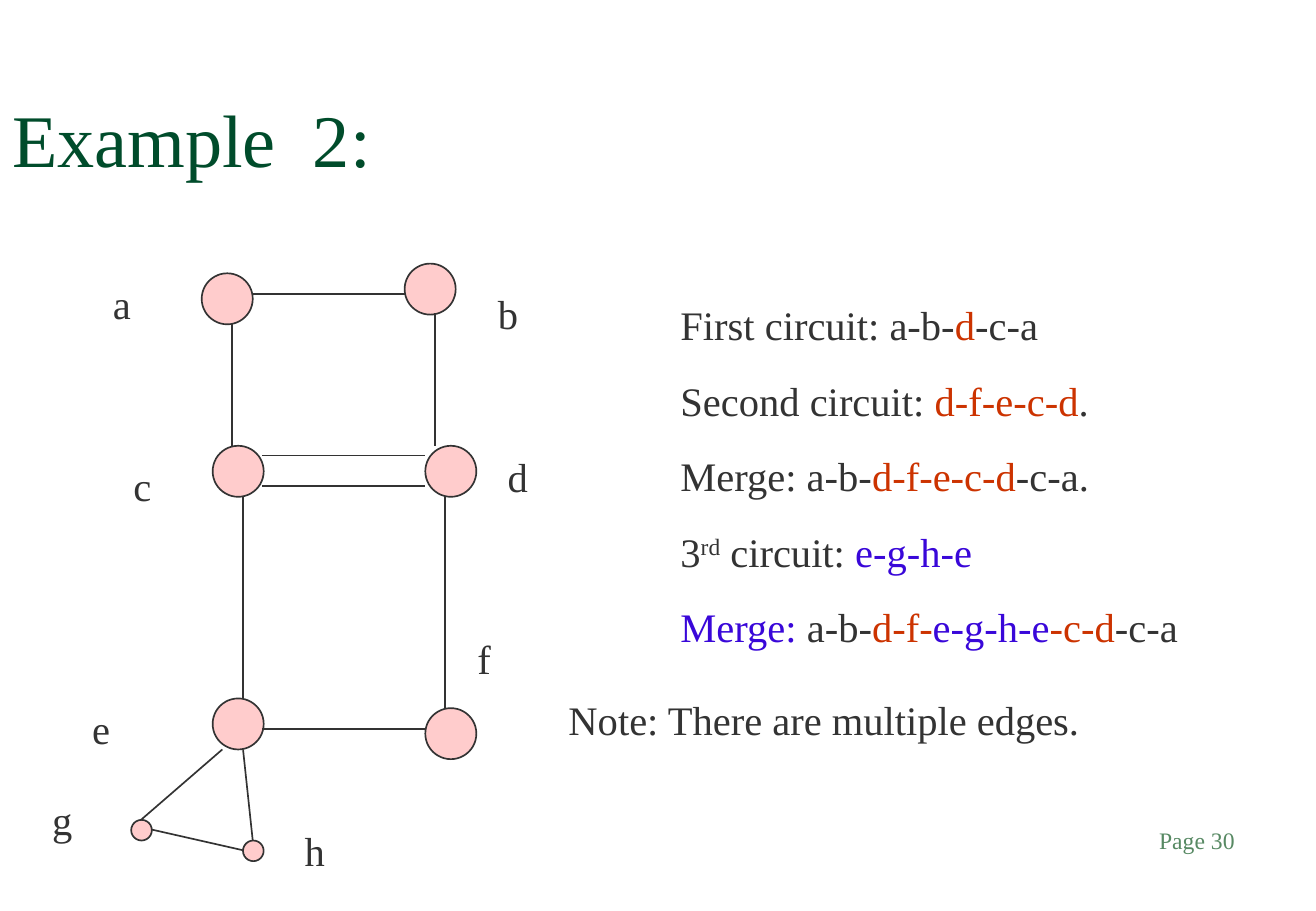
"""Build a slide that merges the circuits of a graph into one Euler circuit."""
import dataclasses

import lxml.etree
import pptx
import pptx.dml.color
import pptx.enum.shapes
import pptx.enum.text
import pptx.oxml.ns
import pptx.util

Inches = pptx.util.Inches
Pt = pptx.util.Pt
Align = pptx.enum.text.PP_ALIGN
Anchor = pptx.enum.text.MSO_ANCHOR


@dataclasses.dataclass(frozen=True)
class Theme:
    """Hold the colours, font and type sizes."""
    font: str = "Times New Roman"
    ink: str = "333333"
    head: str = "004C2B"
    page: str = "578963"
    node: str = "FFCCCC"
    red: str = "CC3300"
    blue: str = "3907D9"
    big: int = 44
    text: int = 24
    small: int = 14
    gap: int = 16
    line: int = 1


class Painter:
    """Draw styled elements on the current slide."""

    def __init__(self, theme, slide):
        """Keep the theme and the slide."""
        self.theme = theme
        self.slide = slide

    def color(self, code):
        """Turn a hex code into a colour."""
        return pptx.dml.color.RGBColor.from_string(code)

    def format(self, run, size, code):
        """Set the font of a run."""
        run.font.name = self.theme.font
        run.font.size = Pt(size)
        run.font.color.rgb = self.color(code)

    def place(self, shape, left, top, width, height):
        """Move and size a placeholder."""
        shape.left, shape.top = Inches(left), Inches(top)
        shape.width, shape.height = Inches(width), Inches(height)
        shape.text_frame.word_wrap = True
        shape.text_frame.auto_size = pptx.enum.text.MSO_AUTO_SIZE.NONE

    def title(self, text, *box):
        """Fill the title placeholder."""
        shape = self.slide.shapes.title
        self.place(shape, *box)
        frame = shape.text_frame
        frame.vertical_anchor = Anchor.BOTTOM
        frame.text = text
        para = frame.paragraphs[0]
        para.alignment = Align.LEFT
        self.format(para.runs[0], self.theme.big, self.theme.head)

    def list(self, rows, *box):
        """Fill the body placeholder with rows of coloured parts."""
        shape = self.slide.placeholders[1]
        self.place(shape, *box)
        frame = shape.text_frame
        frame.vertical_anchor = Anchor.TOP
        frame.text = "\n".join("" for _ in rows)
        for index, (para, row) in enumerate(zip(frame.paragraphs, rows)):
            para.space_before = Pt(self.theme.gap if index else 0)
            props = para._p.get_or_add_pPr()
            props.set("marL", "0")
            props.set("indent", "0")
            lxml.etree.SubElement(props, pptx.oxml.ns.qn("a:buNone"))
            for text, code, *lift in row:
                run = para.add_run()
                run.text = text
                self.format(run, self.theme.text, code)
                if lift:
                    run._r.get_or_add_rPr().set("baseline", str(lift[0] * 1000))

    def label(self, text, left, top, width=0.5, size=None, code=None, align=Align.LEFT):
        """Add a one-line text box."""
        box = self.slide.shapes.add_textbox(
            Inches(left), Inches(top), Inches(width), Inches(0.5))
        frame = box.text_frame
        frame.word_wrap = True
        frame.text = text
        para = frame.paragraphs[0]
        para.alignment = align
        self.format(para.runs[0], size or self.theme.text, code or self.theme.ink)

    def node(self, left, top, size):
        """Add a round node."""
        shape = self.slide.shapes.add_shape(
            pptx.enum.shapes.MSO_SHAPE.OVAL,
            Inches(left), Inches(top), Inches(size), Inches(size))
        shape.shadow.inherit = False
        shape.fill.solid()
        shape.fill.fore_color.rgb = self.color(self.theme.node)
        self.stroke(shape)

    def edge(self, *ends):
        """Add a straight edge."""
        line = self.slide.shapes.add_connector(
            pptx.enum.shapes.MSO_CONNECTOR.STRAIGHT, *map(Inches, ends))
        self.stroke(line)
        lxml.etree.SubElement(line._element.spPr, pptx.oxml.ns.qn("a:effectLst"))

    def stroke(self, shape):
        """Set the outline of a shape."""
        shape.line.color.rgb = self.color(self.theme.ink)
        shape.line.width = Pt(self.theme.line)


def main():
    """Build and save the deck."""
    deck = pptx.Presentation()
    deck.slide_width, deck.slide_height = Inches(10.83), Inches(7.5)
    theme = Theme()
    ink, red, blue = theme.ink, theme.red, theme.blue
    paint = Painter(theme, deck.slides.add_slide(deck.slide_layouts[1]))

    paint.title("Example  2:", 0, 0.3, 9.75, 1.25)
    paint.list([
        [("First circuit: a-b-", ink), ("d", red), ("-c-a", ink)],
        [("Second circuit: ", ink), ("d-f-e-c-d", red), (".", ink)],
        [("Merge: a-b-", ink), ("d-f-e-c-d", red), ("-c-a.", ink)],
        [("3", ink), ("rd", ink, 30), (" circuit: ", ink), ("e-g-h-e", blue)],
        [("Merge: ", blue), ("a-b-", ink), ("d-f-", red), ("e-g-h-e", blue),
         ("-c-d", red), ("-c-a", ink)],
    ], 5.5, 2.42, 4.75, 2.94)

    large, small = 0.42, 0.17
    nodes = [
        ("a", 1.66, 2.25, large, 0.83, 2.25),
        ("b", 3.33, 2.17, large, 4, 2.33),
        ("c", 1.75, 3.67, large, 1, 3.75),
        ("d", 3.5, 3.67, large, 4.08, 3.67),
        ("e", 1.75, 5.75, large, 0.66, 5.75),
        ("f", 3.5, 5.83, large, 3.83, 5.17),
        ("g", 1.08, 6.75, small, 0.33, 6.5),
        ("h", 2, 6.92, small, 2.41, 6.75),
    ]
    for name, left, top, size, across, down in nodes:
        paint.node(left, top, size)
        paint.label(name, across, down)

    edges = [
        (2.08, 2.42, 3.33, 2.42),
        (1.91, 2.67, 1.91, 3.67),
        (3.58, 2.58, 3.58, 3.67),
        (2.16, 3.75, 3.5, 3.75),
        (2.16, 4, 3.5, 4),
        (2, 4.08, 2, 5.75),
        (3.66, 4.08, 3.66, 5.83),
        (2.16, 6, 3.5, 6),
        (1.83, 6.17, 1.16, 6.75),
        (2, 6.17, 2.08, 6.92),
        (1.25, 6.83, 2, 7),
    ]
    for ends in edges:
        paint.edge(*ends)

    paint.label("Note: There are multiple edges.", 4.58, 5.67, 5.58)
    paint.label("Page 30", 8, 6.75, 2.26, theme.small, theme.page, Align.RIGHT)
    deck.save("out.pptx")


if __name__ == "__main__":
    main()
